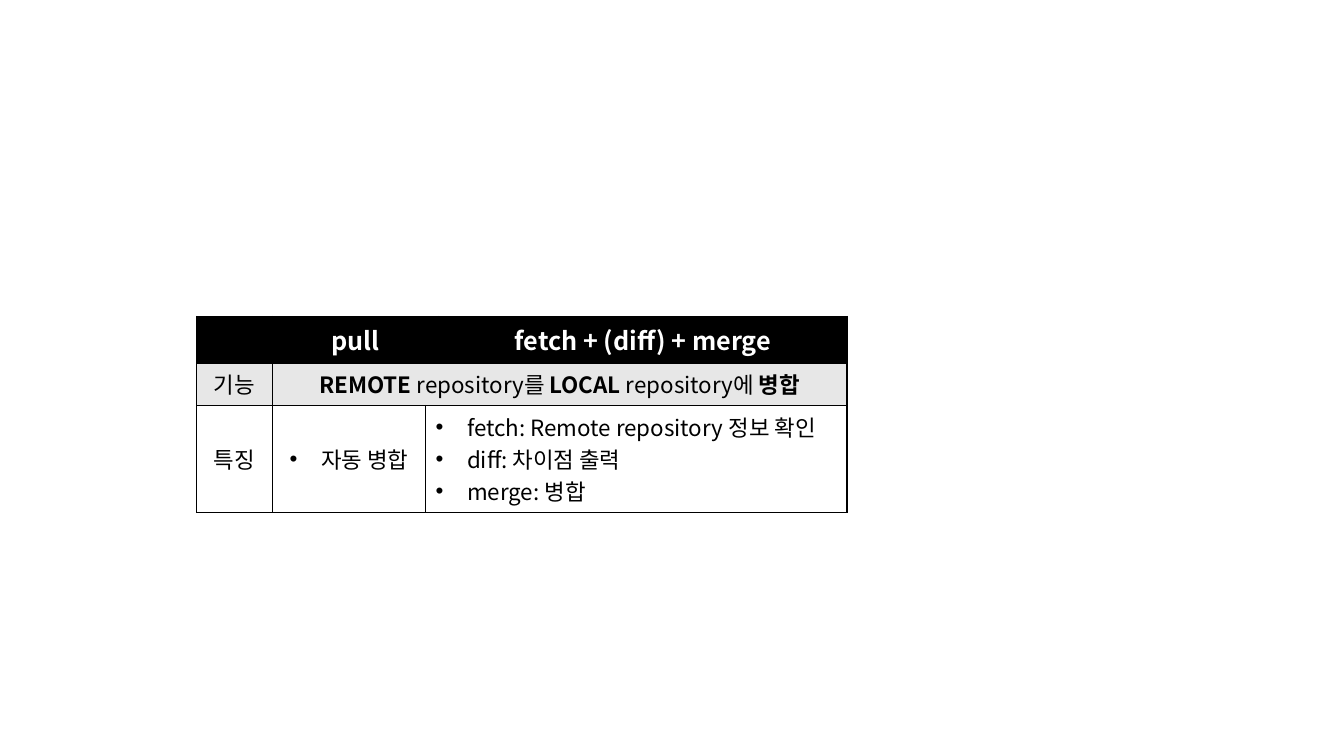
import pptx
import pptx.util
import pptx.dml.color
import pptx.enum.text
import pptx.oxml.ns
import lxml.etree

Pt = pptx.util.Pt
RGBColor = pptx.dml.color.RGBColor
ALIGN = pptx.enum.text.PP_ALIGN
BLACK = RGBColor(0x00, 0x00, 0x00)
WHITE = RGBColor(0xFF, 0xFF, 0xFF)
GRAY = RGBColor(0xE7, 0xE7, 0xE7)
FONT = "Noto Sans CJK KR"
INDENT = Pt(22.5)


def add_xml(parent, tag, **attrs):
    el = lxml.etree.SubElement(parent, pptx.oxml.ns.qn(tag))
    for name, value in attrs.items():
        el.set(name, str(value))
    return el


prs = pptx.Presentation()
prs.slide_width, prs.slide_height = Pt(960), Pt(540)
s = prs.slides.add_slide(prs.slide_layouts[6])

widths = [54, 109.5, 9.5, 291.5]
row_height = 29.5
row_fills = [BLACK, GRAY, WHITE]
table = s.shapes.add_table(len(row_fills), len(widths), Pt(140.5), Pt(226),
                           Pt(sum(widths)), Pt(row_height * len(row_fills))).table
for column, width in zip(table.columns, widths):
    column.width = Pt(width)

for row, fill in zip(table.rows, row_fills):
    row.height = Pt(row_height)
    for cell in row.cells:
        tcPr = cell._tc.get_or_add_tcPr()
        for side in ("a:lnL", "a:lnR", "a:lnT", "a:lnB"):
            ln = add_xml(tcPr, side, w=Pt(1))
            add_xml(add_xml(ln, "a:solidFill"), "a:srgbClr", val=BLACK)
        cell.fill.solid()
        cell.fill.fore_color.rgb = fill
        cell.vertical_anchor = pptx.enum.text.MSO_ANCHOR.MIDDLE

for row, first, last in [(0, 1, 2), (1, 1, 3), (2, 2, 3)]:
    table.cell(row, first).merge(table.cell(row, last))

HEADER = {"size": Pt(18), "bold": True, "name": FONT}
BODY = {"size": Pt(16), "bold": False, "name": FONT}
STRONG = {**BODY, "bold": True}

contents = [
    (0, 1, ALIGN.CENTER, False, [[("pull", HEADER)]]),
    (0, 3, ALIGN.CENTER, False, [[("fetch + (diff) + merge", HEADER)]]),
    (1, 0, ALIGN.CENTER, False, [[("기능", BODY)]]),
    (1, 1, ALIGN.CENTER, False, [[("REMOTE ", STRONG), ("repository를 ", BODY),
                                  ("LOCAL ", STRONG), ("repository에 ", BODY),
                                  ("병합", STRONG)]]),
    (2, 0, ALIGN.CENTER, False, [[("특징", BODY)]]),
    (2, 1, ALIGN.CENTER, True, [[("자동 병합", BODY)]]),
    (2, 2, ALIGN.LEFT, True, [[("fetch: Remote repository 정보 확인", BODY)],
                              [("diff: 차이점 출력", BODY)],
                              [("merge: 병합", BODY)]]),
]

for row, col, align, bulleted, paragraphs in contents:
    tf = table.cell(row, col).text_frame
    for i, runs in enumerate(paragraphs):
        p = tf.add_paragraph() if i else tf.paragraphs[0]
        p.alignment = align
        if bulleted:
            pPr = p._p.get_or_add_pPr()
            pPr.set("marL", str(INDENT))
            pPr.set("indent", str(-INDENT))
            add_xml(pPr, "a:buFont", typeface="Arial")
            add_xml(pPr, "a:buChar", char="•")
        for text, style in runs:
            r = p.add_run()
            r.text = text
            for name, value in style.items():
                setattr(r.font, name, value)
            r.font.color.rgb = WHITE if row == 0 else BLACK
            add_xml(r._r.get_or_add_rPr(), "a:ea", typeface=FONT)

prs.save("out.pptx")
